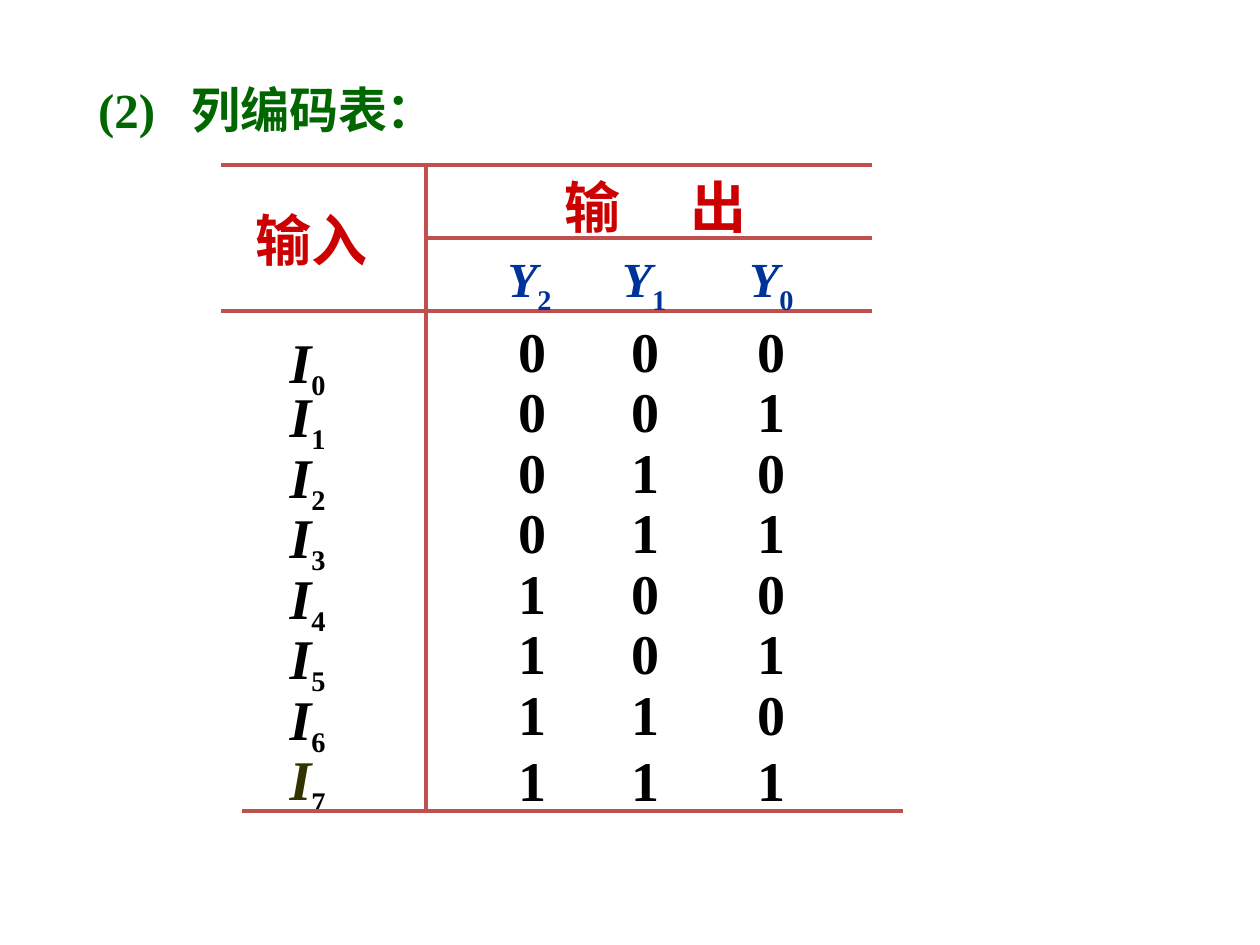
import pptx
import pptx.util
import pptx.dml.color
import pptx.enum.shapes
import pptx.enum.text
import pptx.oxml
import pptx.oxml.ns
import lxml.etree

Inches = pptx.util.Inches
FONT = "Times New Roman"
COLORS = {"rule": "C0504D", "title": "006600", "head": "CC0000",
          "output": "003399", "digit": "000000", "last": "333300"}

TITLE = "(2)\t列编码表："
INPUT = "输入"
OUTPUT = "输\t出"
OUTPUTS = ["2", "1", "0"]
CODES = ["000", "001", "010", "011", "100", "101", "110", "111"]

# x1, y1, x2, y2
RULES = [(1.75, 1.31, 6.92, 1.31), (1.75, 2.47, 6.92, 2.47),
         (3.38, 1.31, 3.38, 6.42), (3.38, 1.89, 6.92, 1.89),
         (1.92, 6.44, 7.17, 6.44)]

STEP = 0.48
CODE_TOP, INPUT_TOP = 2.46, 2.5
FIRST_INPUT, LAST_CODE = 2.55, 5.87  # rows set slightly off the grid


def color(name):
    return pptx.dml.color.RGBColor.from_string(COLORS[name])


def add_text(slide, left, top, width, runs, tabs=(), height=0.63):
    """Add a one-line box; each run is (text, size, color, italic, subscript)."""
    box = slide.shapes.add_textbox(*map(Inches, (left, top, width, height)))
    frame = box.text_frame
    frame.word_wrap = True
    frame.auto_size = pptx.enum.text.MSO_AUTO_SIZE.SHAPE_TO_FIT_TEXT
    para = frame.paragraphs[0]
    if tabs:
        stops = lxml.etree.SubElement(para._p.get_or_add_pPr(),
                                      pptx.oxml.ns.qn("a:tabLst"))
        for tab in tabs:
            lxml.etree.SubElement(stops, pptx.oxml.ns.qn("a:tab"),
                                  pos=str(Inches(tab)), algn="l")
    for text, size, tone, italic, sub in runs:
        run = para.add_run()
        run.text = text
        run.font.name = FONT
        run.font.size = pptx.util.Pt(size)
        run.font.bold = True
        run.font.italic = italic
        run.font.color.rgb = color(tone)
        if sub:
            run._r.get_or_add_rPr().set("baseline", "-25000")


def add_rule(slide, ends):
    line = slide.shapes.add_connector(
        pptx.enum.shapes.MSO_CONNECTOR.STRAIGHT, *map(Inches, ends))
    line.line.color.rgb = color("rule")
    line.line.width = pptx.util.Pt(2.25)
    lxml.etree.SubElement(line._element.spPr, pptx.oxml.ns.qn("a:effectLst"))


def main():
    deck = pptx.Presentation()
    deck.slide_width, deck.slide_height = Inches(10), Inches(7.5)
    slide = deck.slides.add_slide(deck.slide_layouts[6])

    last = len(CODES) - 1
    for i, code in enumerate(CODES):
        top = LAST_CODE if i == last else CODE_TOP + i * STEP
        add_text(slide, 4.02, top, 2.54,
                 [("\t".join(code), 32, "digit", False, False)], (0.89, 1.89))
        top = FIRST_INPUT if i == 0 else INPUT_TOP + i * STEP
        tone = "last" if i == last else "digit"
        add_text(slide, 2.2, top, 0.82, [("I", 32, tone, True, False),
                                         (str(i), 28, "digit", False, True)])

    add_text(slide, 0.68, 0.58, 3.1, [(TITLE, 28, "title", False, False)],
             (0.74,), 0.57)
    for ends in RULES:
        add_rule(slide, ends)
    add_text(slide, 1.93, 1.58, 1.3, [(INPUT, 32, "head", False, False)])
    add_text(slide, 4.38, 1.32, 1.8, [(OUTPUT, 32, "head", False, False)], (1,))

    heads = []
    for i, sub in enumerate(OUTPUTS):
        if i:
            heads.append(("\t", 32, "output", False, False))
        heads += [("Y", 28, "output", True, False),
                  (sub, 28, "output", False, True)]
    add_text(slide, 3.93, 1.87, 2.53, heads, (0.91, 1.92))

    deck.save("out.pptx")


if __name__ == "__main__":
    main()
